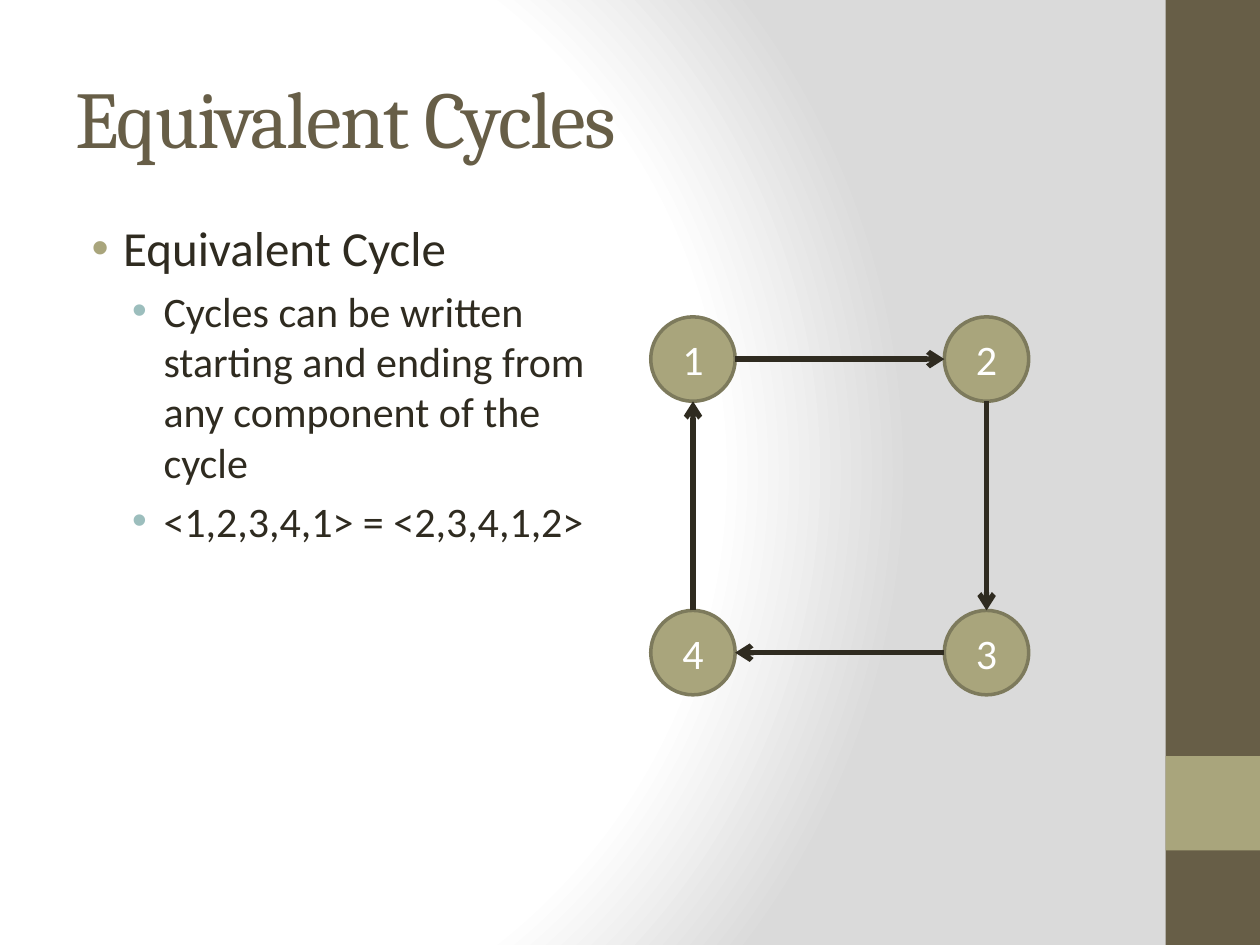
from dataclasses import dataclass
from typing import Any

from lxml.etree import SubElement
from pptx import Presentation
from pptx.dml.color import RGBColor
from pptx.enum.shapes import MSO_CONNECTOR as Connector, MSO_SHAPE as Preset
from pptx.enum.text import MSO_ANCHOR as Anchor, PP_ALIGN as Align
from pptx.oxml import parse_xml
from pptx.oxml.ns import nsdecls, qn
from pptx.util import Inches, Pt

COLORS = {
    "brown": "675E47", "olive": "A9A57C", "olive_edge": "7D7A5C",
    "ink": "2F2B20", "teal": "9CBEBD", "white": "FFFFFF", "gray": "DADADA",
}
WIDTH, HEIGHT = 10, 7.5
BAND = 0.75                     # side of the accent square and width of the side bar
NODE_SIZE = 0.67
GRID_LEFT, GRID_TOP = 5.5, 2.85  # centre of the first node
GRID_STEP = 2.33


@dataclass(frozen=True)
class Node:
    label: str
    column: int
    row: int

    @property
    def center(self) -> tuple[float, float]:
        return GRID_LEFT + self.column * GRID_STEP, GRID_TOP + self.row * GRID_STEP


@dataclass(frozen=True)
class Bullet:
    text: str
    level: int
    size: int
    indent: float
    color: str


CYCLE = [Node("1", 0, 0), Node("2", 1, 0), Node("3", 1, 1), Node("4", 0, 1)]
BULLETS = [
    Bullet("Equivalent Cycle", 0, 28, 0.38, "olive"),
    Bullet("Cycles can be written starting and ending from any component of the cycle",
           1, 24, 0.7, "teal"),
    Bullet("<1,2,3,4,1> = <2,3,4,1,2>", 1, 24, 0.7, "teal"),
]


def rgb(name: str) -> RGBColor:
    """Look up a palette colour."""
    return RGBColor.from_string(COLORS[name])


def apply(target: Any, values: dict[str, Any]) -> None:
    """Set every attribute in the dict of format values."""
    for attribute, value in values.items():
        setattr(target, attribute, value)


def write(paragraph: Any, text: str, font: str, size: int, color: str) -> Any:
    """Add one formatted run to a paragraph."""
    run = paragraph.add_run()
    run.text = text
    apply(run.font, {"name": font, "size": Pt(size)})
    run.font.color.rgb = rgb(color)
    return run


def paint_background(slide: Any) -> None:
    """Fill the background with a circular gradient."""
    slide.background.fill.gradient()
    gradient = next(slide.element.iter(qn("a:gradFill")))
    stops = "".join(
        f'<a:gs pos="{share * 1000}"><a:srgbClr val="{COLORS[color]}"/></a:gs>'
        for share, color in ((0, "white"), (75, "white"), (100, "gray")))
    gradient.getparent().replace(gradient, parse_xml(
        f'<a:gradFill {nsdecls("a")} rotWithShape="1"><a:gsLst>{stops}</a:gsLst>'
        '<a:path path="circle"><a:fillToRect l="20000" t="50000" r="100000" b="50000"/>'
        '</a:path></a:gradFill>'))


def add_filled(slide: Any, preset: Any, box: tuple, color: str) -> Any:
    """Draw a preset shape with a plain fill and no outline."""
    shape = slide.shapes.add_shape(preset, *map(Inches, box))
    shape.shadow.inherit = False
    shape.fill.solid()
    shape.fill.fore_color.rgb = rgb(color)
    shape.line.fill.background()
    return shape


def add_frame(slide: Any, box: tuple, anchor: Any) -> Any:
    """Add a wrapping text box and return its text frame."""
    frame = slide.shapes.add_textbox(*map(Inches, box)).text_frame
    apply(frame, {"word_wrap": True, "vertical_anchor": anchor})
    return frame


def add_bullets(slide: Any) -> None:
    """Write the bulleted explanation."""
    frame = add_frame(slide, (0.5, 1.68, 4.33, 5.65), Anchor.TOP)
    for index, bullet in enumerate(BULLETS):
        paragraph = frame.add_paragraph() if index else frame.paragraphs[0]
        apply(paragraph, {"level": bullet.level, "space_before": Pt(bullet.size * 0.2)})
        write(paragraph, bullet.text, "Calibri", bullet.size, "ink")
        props = paragraph._p.get_or_add_pPr()
        props.set("marL", str(Inches(bullet.indent)))
        props.set("indent", str(Inches(-0.25)))
        SubElement(SubElement(props, qn("a:buClr")), qn("a:srgbClr"),
                   val=COLORS[bullet.color])
        SubElement(props, qn("a:buFont"), typeface="Arial")
        SubElement(props, qn("a:buChar"), char="•")


def add_node(slide: Any, node: Node) -> None:
    """Draw one numbered circle."""
    x, y = node.center
    box = (x - NODE_SIZE / 2, y - NODE_SIZE / 2, NODE_SIZE, NODE_SIZE)
    circle = add_filled(slide, Preset.OVAL, box, "olive")
    circle.line.color.rgb = rgb("olive_edge")
    circle.line.width = Pt(2)
    circle.text_frame.vertical_anchor = Anchor.MIDDLE
    paragraph = circle.text_frame.paragraphs[0]
    paragraph.alignment = Align.CENTER
    write(paragraph, node.label, "Calibri", 24, "white")


def add_edge(slide: Any, source: Node, target: Node) -> None:
    """Draw an arrow from rim to rim between two neighbouring nodes."""
    (x1, y1), (x2, y2) = source.center, target.center
    dx = (target.column - source.column) * NODE_SIZE / 2
    dy = (target.row - source.row) * NODE_SIZE / 2
    ends = (x1 + dx, y1 + dy, x2 - dx, y2 - dy)
    arrow = slide.shapes.add_connector(Connector.STRAIGHT, *map(Inches, ends))
    arrow.line.color.rgb = rgb("ink")
    arrow.line.width = Pt(3)
    SubElement(arrow.line._get_or_add_ln(), qn("a:tailEnd"), type="arrow")
    SubElement(arrow._element.spPr, qn("a:effectLst"))


def main() -> None:
    """Build and save the slide."""
    deck = Presentation()
    apply(deck, {"slide_width": Inches(WIDTH), "slide_height": Inches(HEIGHT)})
    slide = deck.slides.add_slide(deck.slide_layouts[6])
    paint_background(slide)
    side = WIDTH - BAND
    add_filled(slide, Preset.RECTANGLE, (side, 0, BAND, HEIGHT), "brown")
    add_filled(slide, Preset.RECTANGLE, (side, HEIGHT * 0.8, BAND, BAND), "olive")

    title = add_frame(slide, (0.5, 0.3, 8.33, 1.25), Anchor.MIDDLE)
    heading = write(title.paragraphs[0], "Equivalent Cycles", "Cambria", 46, "brown")
    heading.font._element.set("spc", "-100")
    add_bullets(slide)

    for node in CYCLE:
        add_node(slide, node)
    for source, target in zip(CYCLE, CYCLE[1:] + CYCLE[:1]):
        add_edge(slide, source, target)
    deck.save("out.pptx")


main()
